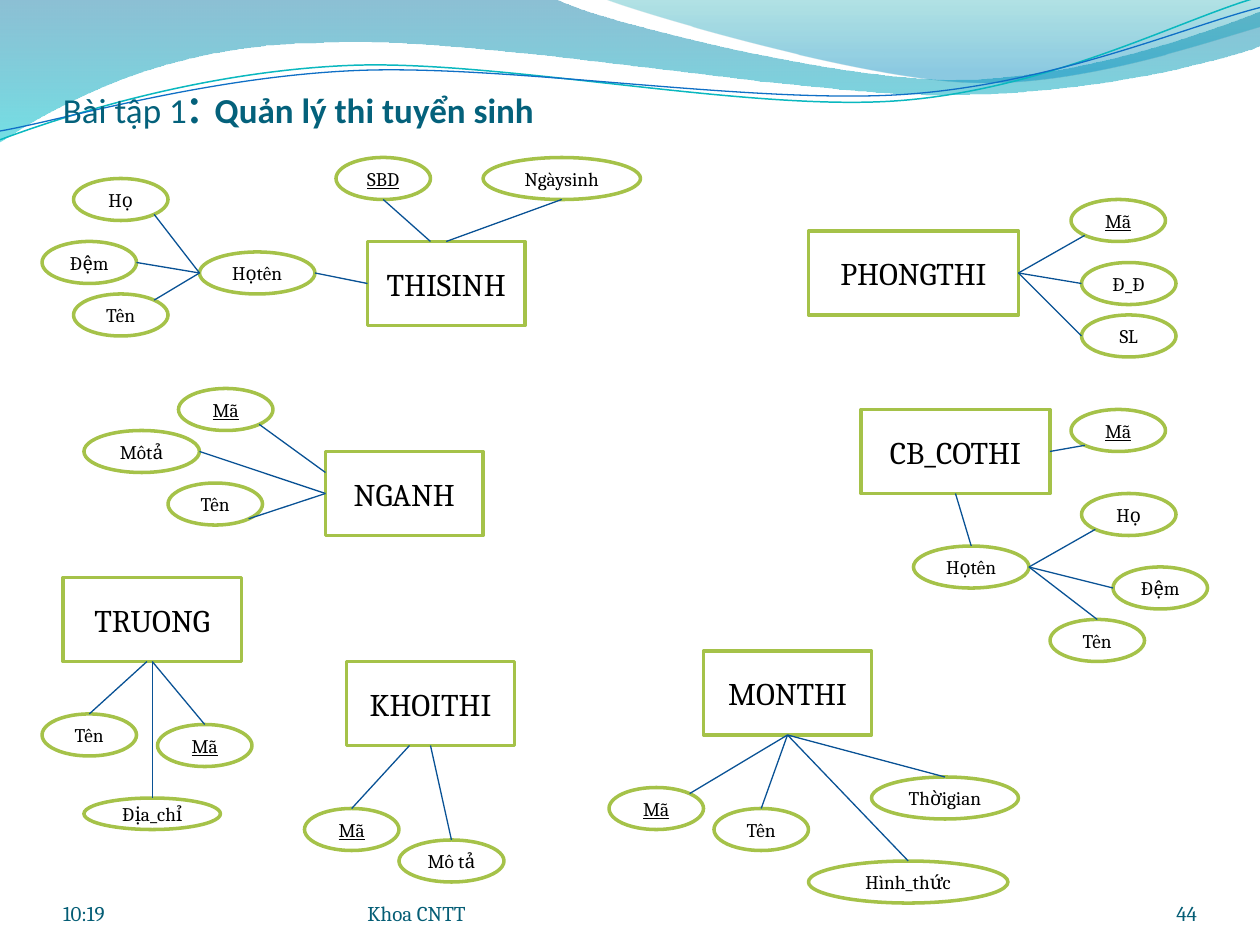
from lxml import etree
from pptx import Presentation
from pptx import util as u
from pptx.dml.color import RGBColor
from pptx.enum import shapes, text
from pptx.oxml.ns import qn

COLORS = {
    "white": "FFFFFF", "black": "000000", "green": "A5C249", "link": "095295",
    "title": "04617B", "footer": "045D75", "blue": "0074A1", "cyan": "00C6CF",
    "teal": "00A1A9", "sky": "008BBF", "aqua": "0AB8BF", "royal": "0F6FC6",
}
COLS, ROWS = 120, 90  # grid cells are a twelfth of an inch
WIDTH, HEIGHT = u.Inches(10), u.Inches(7.5)
LEFT, CENTER, RIGHT = (text.PP_ALIGN.LEFT, text.PP_ALIGN.CENTER, text.PP_ALIGN.RIGHT)

# Unit directions from the centre of a shape to its sides
SIDES = {"t": (0, -1), "l": (-1, 0), "b": (0, 1), "r": (1, 0)}
SIDE_INDEX = {"t": 0, "l": 1, "b": 2, "r": 3}


def rgb(name):
    return RGBColor.from_string(COLORS[name])


def anchor(box, site, shift=0):
    """Grid point on a side or, for two letters, on an ellipse's diagonal."""
    x, y, w, h = box
    reach = 0.5 if len(site) == 1 else 0.5 ** 1.5
    dx = sum(SIDES[c][0] for c in site)
    dy = sum(SIDES[c][1] for c in site)
    along = (shift, 0) if site in "tb" else (0, shift)
    return (x + w / 2 + dx * w * reach + along[0],
            y + h / 2 + dy * h * reach + along[1])


class Diagram:
    def __init__(self, slide):
        self.s = slide
        self.links = []

    def xy(self, *values):
        return [int(v * (WIDTH / COLS if i % 2 == 0 else HEIGHT / ROWS))
                for i, v in enumerate(values)]

    def run(self, p, words, size, color, font="Cambria", bold=False, underline=False):
        r = p.add_run()
        r.text = words
        r.font.size, r.font.name = u.Pt(size), font
        r.font.bold, r.font.underline = bold, underline
        r.font.color.rgb = rgb(color)

    def label(self, box, runs, align=LEFT):
        tf = self.s.shapes.add_textbox(*self.xy(*box)).text_frame
        tf.word_wrap = True
        tf.vertical_anchor = text.MSO_ANCHOR.BOTTOM
        tf.margin_left = tf.margin_right = tf.margin_top = tf.margin_bottom = 0
        p = tf.paragraphs[0]
        p.alignment = align
        for words, style in runs:
            self.run(p, words, **style)

    def wave(self, start, segments, stops=None, line=None):
        """Outline in inches: a segment of 1 point is straight, of 3 is cubic."""
        pts = [(u.Inches(x), u.Inches(y)) for x, y in [start, *sum(segments, [])]]
        fb = self.s.shapes.build_freeform(*pts[0])
        fb.add_line_segments(pts[1:], close=stops is not None)
        sp = fb.convert_to_shape()
        sp.shadow.inherit = False
        steps = iter(list(sp._element.iter(qn("a:lnTo"))))
        for seg in segments:
            first, *rest = [next(steps) for _ in seg]
            if rest:
                first.tag = qn("a:cubicBezTo")
                for step in rest:
                    first.append(step[0])
                    step.getparent().remove(step)
        if line:
            sp.fill.background()
            sp.line.color.rgb, sp.line.width = rgb(line[0]), u.Pt(line[1])
            return
        sp.line.fill.background()
        sp.fill.gradient()
        sp.fill.gradient_angle = 270
        for stop, (pos, color, _) in zip(sp.fill.gradient_stops, stops):
            stop.position, stop.color.rgb = pos, rgb(color)
        colors = sp._element.spPr.iter(qn("a:srgbClr"))
        for clr, (_, _, opacity) in zip(list(colors), stops):
            etree.SubElement(clr, qn("a:alpha"), val=str(opacity * 1000))

    def node(self, kind, box, words, size, underline=False):
        sp = self.s.shapes.add_shape(kind, *self.xy(*box))
        sp.shadow.inherit = False
        sp.fill.solid()
        sp.fill.fore_color.rgb = rgb("white")
        sp.line.color.rgb, sp.line.width = rgb("green"), u.Pt(2)
        tf = sp.text_frame
        tf.word_wrap = False
        tf.vertical_anchor = text.MSO_ANCHOR.MIDDLE
        tf.paragraphs[0].alignment = CENTER
        self.run(tf.paragraphs[0], words, size, "black", underline=underline)
        return sp

    def entity(self, name, box, attributes):
        sp = self.node(shapes.MSO_SHAPE.RECTANGLE, box, name, 18)
        self.attributes(sp, box, attributes)

    def attributes(self, owner, owner_box, items):
        """Each item: name, box, owner side, own site, then options."""
        for name, box, side, site, *opts in items:
            opt = opts[0] if opts else {}
            box = (*box, 9, 4)[:4]
            sp = self.node(shapes.MSO_SHAPE.OVAL, box, name, 11, name == "Mã" or "key" in opt)
            shift = opt.get("shift", 0)
            self.links.append((owner, side, shift, anchor(owner_box, side, shift),
                               anchor(box, site)))
            self.attributes(sp, box, opt.get("parts", []))

    def draw_links(self):
        for owner, side, shift, start, end in self.links:
            c = self.s.shapes.add_connector(shapes.MSO_CONNECTOR.STRAIGHT,
                                            *self.xy(*start, *end))
            c.line.color.rgb, c.line.width = rgb("link"), u.Pt(0.75)
            etree.SubElement(c._element.spPr, qn("a:effectLst"))
            if not shift and owner.auto_shape_type == shapes.MSO_SHAPE.RECTANGLE:
                c.begin_connect(owner, SIDE_INDEX[side])


# Entities with their attributes, on the grid
ENTITIES = [
    ("THISINH", (35, 23, 15, 8), [
        ("SBD", (32, 15), "t", "b", {"shift": -1.5, "key": True}),
        ("Ngàysinh", (46, 15, 15, 4), "t", "b"),
        ("Họtên", (19, 24, 11, 4), "l", "r", {"parts": [
            ("Họ", (7, 17), "l", "br"),
            ("Đệm", (4, 23), "l", "r"),
            ("Tên", (7, 28), "l", "tr")]})]),
    ("NGANH", (31, 43, 15, 8), [
        ("Mã", (17, 37), "l", "br", {"shift": -2}),
        ("Môtả", (8, 41, 11, 4), "l", "r"),
        ("Tên", (16, 46), "l", "br")]),
    ("TRUONG", (6, 55, 17, 8), [
        ("Tên", (4, 68), "b", "t", {"shift": -0.5}),
        ("Mã", (15, 69), "b", "t"),
        ("Địa_chỉ", (8, 76, 13, 3), "b", "t")]),
    ("KHOITHI", (33, 63, 16, 8), [
        ("Mã", (29, 77), "b", "t", {"shift": -2}),
        ("Mô tả", (38, 80, 10, 4), "b", "t")]),
    ("MONTHI", (67, 62, 16, 8), [
        ("Mã", (58, 75), "b", "tr"),
        ("Tên", (68, 77), "b", "t"),
        ("Hình_thức", (77, 82, 19, 4), "b", "t"),
        ("Thờigian", (83, 74, 14, 4), "b", "t")]),
    ("PHONGTHI", (77, 22, 20, 8), [
        ("Mã", (102, 19), "r", "bl"),
        ("Đ_Đ", (103, 25), "r", "l"),
        ("SL", (103, 30), "r", "l")]),
    ("CB_COTHI", (82, 39, 18, 8), [
        ("Mã", (102, 39), "r", "bl"),
        ("Họtên", (87, 52, 11, 4), "b", "t", {"parts": [
            ("Họ", (103, 47), "r", "bl"),
            ("Đệm", (106, 54), "r", "l"),
            ("Tên", (100, 59), "r", "t")]})]),
]


def main():
    prs = Presentation()
    prs.slide_width, prs.slide_height = WIDTH, HEIGHT
    d = Diagram(prs.slides.add_slide(prs.slide_layouts[6]))

    # Waves along the top
    d.wave((0, -0.01), [
        [(4.4, -0.01)], [(4.76, 0.17), (6.64, 0.63), (7.58, 0.63)],
        [(8.53, 0.63), (9.58, 0.26), (10, 0.09)], [(10.01, 0.36)],
        [(9.83, 0.44), (8.7, 0.76), (7.46, 0.75)],
        [(6.22, 0.75), (3.82, 0.28), (2.57, 0.34)],
        [(1.29, 0.35), (0.46, 0.83), (-0.01, 1.13)], [(0, -0.01)],
    ], stops=[(0, "blue", 45), (1, "cyan", 55)])
    d.wave((4.79, -0.01), [
        [(5.09, 0.11), (6.82, 0.62), (7.69, 0.65)],
        [(8.56, 0.69), (9.61, 0.32), (10, 0.21)], [(10, 0)], [(4.79, -0.01)],
    ], stops=[(0, "teal", 30), (0.8, "sky", 45)])
    d.wave((0, 1.11), [
        [(0.48, 0.93), (1.58, 0.57), (2.77, 0.52)],
        [(3.95, 0.47), (5.93, 0.89), (7.13, 0.8)],
        [(8.33, 0.71), (9.38, 0.15), (9.98, -0.02)]], line=("aqua", 0.85))
    d.wave((0, 1.04), [
        [(0.47, 0.96), (1.64, 0.61), (2.83, 0.56)],
        [(4.03, 0.51), (5.97, 0.83), (7.17, 0.75)],
        [(8.36, 0.67), (9.41, 0.21), (10, 0.06)]], line=("royal", 0.75))

    # Title and footer
    title = {"size": 20, "color": "title", "font": "Calibri"}
    d.label((6, 4.7, 108, 8.1), [
        ("Bài tập 1", title), (": ", {**title, "size": 32}),
        ("Quản lý thi tuyển sinh", {**title, "bold": True})])
    footer = {"size": 12, "color": "footer"}
    for x, w, words, align in ((104, 10, "44", RIGHT), (6, 28, "10:19", LEFT),
                               (35, 44, "Khoa CNTT", LEFT)):
        d.label((x, 83.4, w, 4.8), [(words, footer)], align)

    # Entity diagram
    for entity in ENTITIES:
        d.entity(*entity)
    d.draw_links()
    prs.save("out.pptx")


if __name__ == "__main__":
    main()
